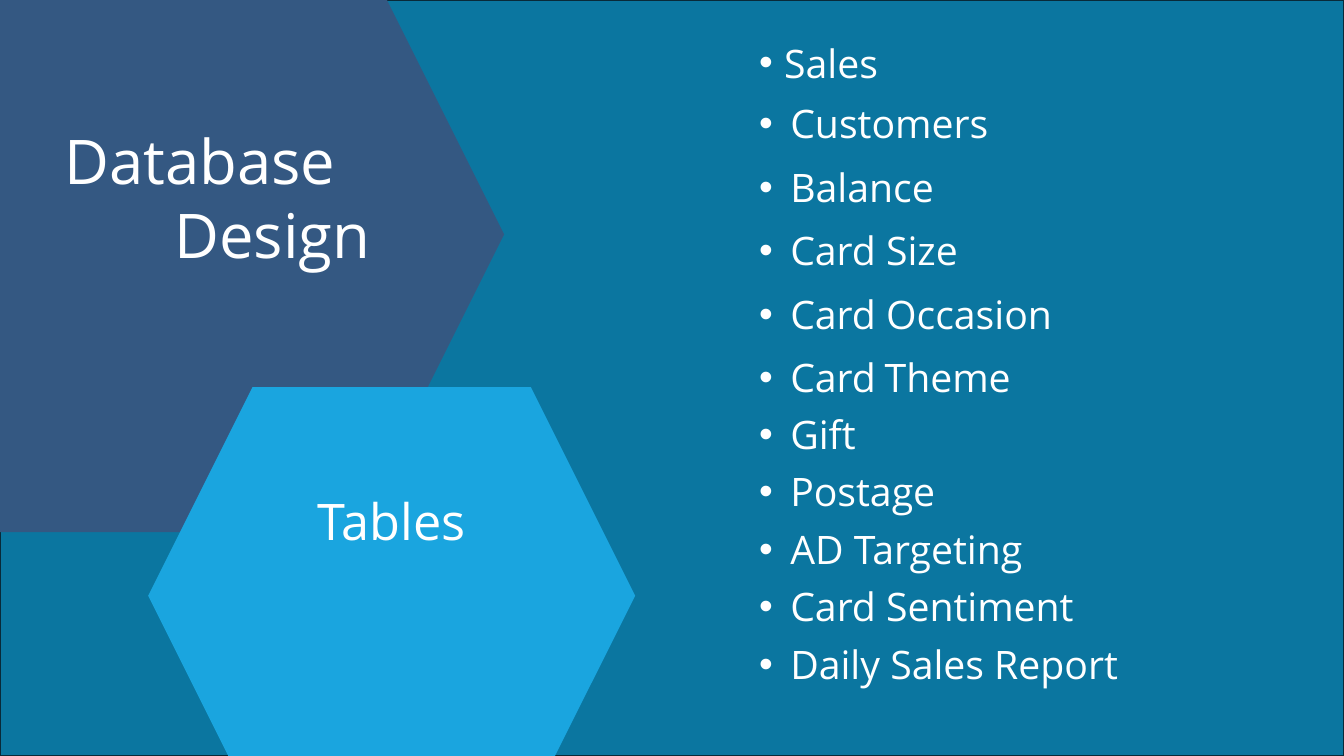
"""Build the database design slide with its list of tables."""
from dataclasses import dataclass

from lxml.etree import SubElement
from pptx import Presentation
from pptx.dml.color import RGBColor
from pptx.enum.shapes import MSO_SHAPE as Shape
from pptx.enum.text import MSO_ANCHOR as Anchor, PP_ALIGN as Align
from pptx.oxml.ns import qn
from pptx.slide import Slide
from pptx.util import Inches, Pt

WHITE = "FFFFFF"
BULLET_LEFT = 7.43
BULLET_HEIGHT = 0.57
WIDE_STEP, TIGHT_STEP = 0.63, 0.57
WIDE_TOP, TIGHT_TOP = 0.94, 4.02


@dataclass(frozen=True)
class Panel:
    kind: Shape
    left: float
    top: float
    width: float
    height: float
    fill: str
    line: str | None = None


@dataclass(frozen=True)
class Label:
    text: str
    left: float
    top: float
    width: float
    height: float
    size: float
    indent: float = 0
    spacing: float = 1.0
    anchor: Anchor = Anchor.TOP
    align: Align = Align.LEFT
    space_size: float | None = None


PANELS = [
    Panel(Shape.RECTANGLE, 0, 0, 13.33, 7.5, "0B76A0", "092A39"),
    Panel(Shape.HEXAGON, -1.75, -0.63, 6.75, 5.91, "345882"),
    Panel(Shape.HEXAGON, 1.47, 3.84, 4.83, 4.14, "1AA5DF"),
]
HEADINGS = [
    Label("Database", 0.54, 0.91, 3.06, 1.45, 44, spacing=0.9, anchor=Anchor.MIDDLE),
    Label("Design", 1.63, 1.9, 5.34, 0.84, 44),
    Label("Tables", 2.78, 4.81, 2.21, 0.71, 36, align=Align.CENTER),
]
FIRST_BULLET = Label("Sales", BULLET_LEFT, 0.43, 1.46, 0.51, 28, 0.25, 0.8)
WIDE_ROWS = [("Customers", 2.75), ("Balance", 2.39), ("Card Size", 2.44),
             ("Card Occasion", 3.87), ("Card Theme", 3.74)]
TIGHT_ROWS = [("Gift", 2.44), ("Postage", 1.99), ("AD Targeting", 4.52),
              ("Card Sentiment", 4.25), ("Daily Sales Report", 5.05)]


def color(value: str) -> RGBColor:
    return RGBColor.from_string(value)


def apply(target: object, values: dict) -> None:
    for name, value in values.items():
        setattr(target, name, value)


def bullet_rows(rows: list[tuple[str, float]], top: float, step: float) -> list[Label]:
    return [
        Label(text, BULLET_LEFT, top + step * index, width, BULLET_HEIGHT, 28, 0.31,
              space_size=24 if text == "Card Theme" else None)
        for index, (text, width) in enumerate(rows)
    ]


def draw_panel(page: Slide, panel: Panel) -> None:
    lengths = map(Inches, (panel.left, panel.top, panel.width, panel.height))
    shape = page.shapes.add_shape(panel.kind, *lengths)
    shape.shadow.inherit = False
    shape.fill.solid()
    shape.fill.fore_color.rgb = color(panel.fill)
    if panel.line:
        shape.line.color.rgb = color(panel.line)
        shape.line.width = Pt(1.5)
    else:
        shape.line.fill.background()


def draw_label(page: Slide, label: Label) -> None:
    lengths = map(Inches, (label.left, label.top, label.width, label.height))
    box = page.shapes.add_textbox(*lengths)
    apply(box.text_frame, {"word_wrap": True, "vertical_anchor": label.anchor})
    para = box.text_frame.paragraphs[0]
    apply(para, {"alignment": label.align, "line_spacing": label.spacing})
    if label.indent:
        properties = para._p.get_or_add_pPr()
        properties.set("marL", str(Inches(label.indent)))
        properties.set("indent", str(-Inches(label.indent)))
        SubElement(properties, qn("a:buFont"), typeface="Arial")
        SubElement(properties, qn("a:buChar"), char="•")
    parts = label.text.partition(" ") if label.space_size else (label.text,)
    for part in parts:
        span = para.add_run()
        span.text = part
        size = label.space_size if part == " " else label.size
        apply(span.font, {"name": "Open Sans", "size": Pt(size)})
        span.font.color.rgb = color(WHITE)


def main() -> None:
    deck = Presentation()
    apply(deck, {"slide_width": Inches(13.33), "slide_height": Inches(7.5)})
    page = deck.slides.add_slide(deck.slide_layouts[6])
    for panel in PANELS:
        draw_panel(page, panel)
    bullets = [FIRST_BULLET, *bullet_rows(WIDE_ROWS, WIDE_TOP, WIDE_STEP),
               *bullet_rows(TIGHT_ROWS, TIGHT_TOP, TIGHT_STEP)]
    for label in HEADINGS + bullets:
        draw_label(page, label)
    deck.save("out.pptx")


if __name__ == "__main__":
    main()
